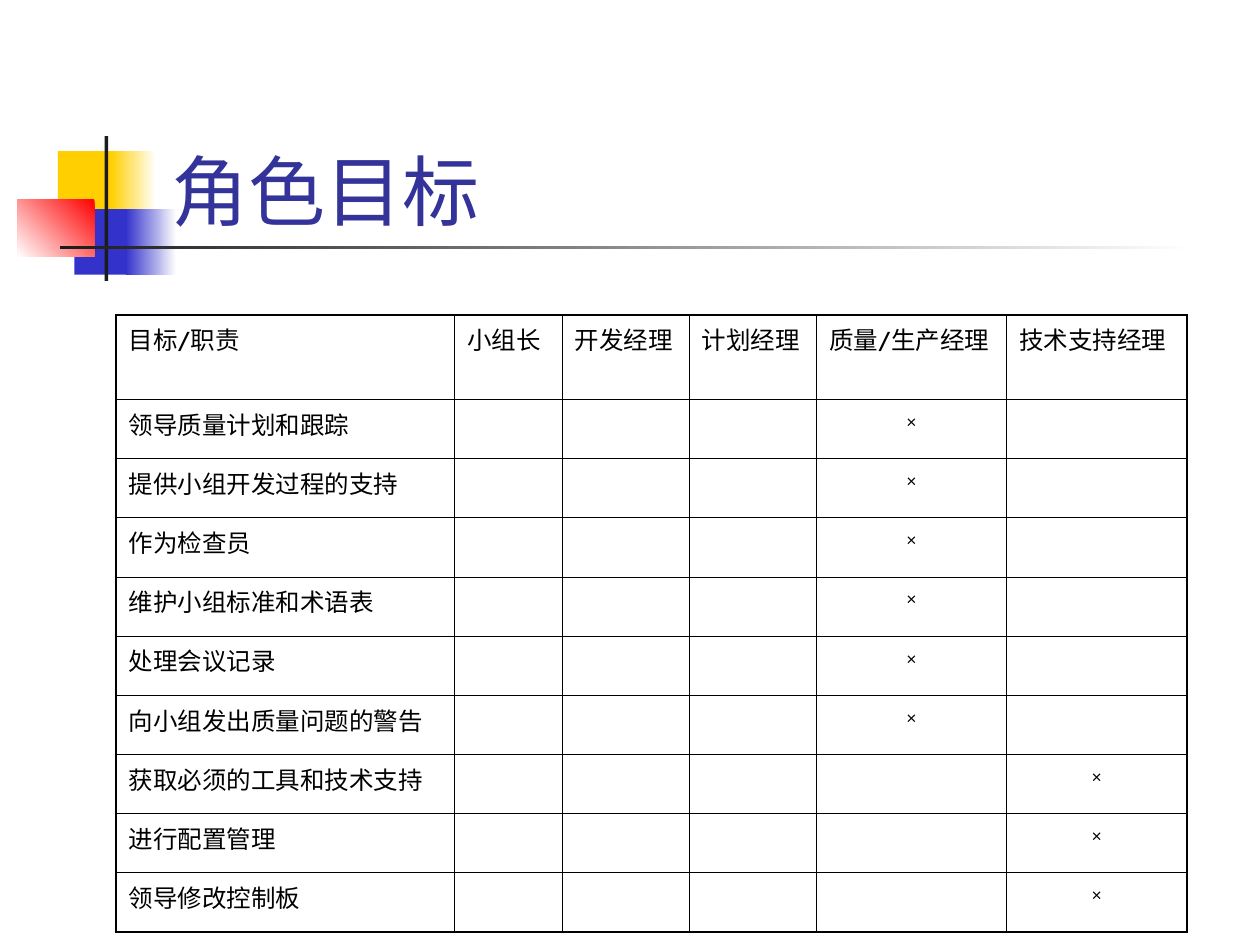
from lxml import etree
from pptx import Presentation
from pptx.dml.color import RGBColor
from pptx.enum.shapes import MSO_SHAPE
from pptx.enum.text import MSO_ANCHOR, PP_ALIGN
from pptx.oxml.ns import qn
from pptx.util import Inches, Pt

RECTANGLE = MSO_SHAPE.RECTANGLE
BOTTOM = MSO_ANCHOR.BOTTOM
CENTER = PP_ALIGN.CENTER
LEFT = PP_ALIGN.LEFT

WHITE = RGBColor(0xFF, 0xFF, 0xFF)
BLACK = RGBColor(0x00, 0x00, 0x00)
YELLOW = RGBColor(0xFF, 0xCF, 0x01)
BLUE = RGBColor(0x33, 0x33, 0xCC)
RED = RGBColor(0xFF, 0x00, 0x00)
CHARCOAL = RGBColor(0x1C, 0x1C, 0x1C)
INDIGO = RGBColor(0x33, 0x33, 0x99)

FONT = "Cabin"
THICK = 1.08
THIN = 0.45


def add_text(para, text, size, color):
    span = para.add_run()
    span.text = text
    span.font.name = FONT
    span.font.size = Pt(size)
    span.font.color.rgb = color


def add_border(cell, index, side, width):
    line = etree.Element(qn(f"a:{side}"), w=str(Pt(width)))
    fill = etree.SubElement(line, qn("a:solidFill"))
    etree.SubElement(fill, qn("a:srgbClr"), val=str(BLACK))
    cell._tc.get_or_add_tcPr().insert(index, line)


deck = Presentation()
deck.slide_width = Inches(10)
deck.slide_height = Inches(7.5)
page = deck.slides.add_slide(deck.slide_layouts[6])

ornaments = [
    (0.46, 1.2, 0.48, 0.52, [YELLOW], 0),
    (0.88, 1.2, 0.36, 0.52, [WHITE, YELLOW], 180),
    (0.59, 1.66, 0.46, 0.52, [BLUE], 0),
    (1, 1.66, 0.4, 0.52, [WHITE, BLUE], 180),
    (0.14, 1.58, 0.61, 0.46, [RED, WHITE], 225),
    (0.83, 1.08, 0.03, 1.15, [CHARCOAL], 0),
    (0.48, 1.95, 9, 0.03, [WHITE, CHARCOAL], 180),
]
for left, top, width, height, colors, angle in ornaments:
    block = page.shapes.add_shape(
        RECTANGLE, Inches(left), Inches(top), Inches(width), Inches(height)
    )
    block.shadow.inherit = False
    block.line.fill.background()
    if len(colors) == 1:
        block.fill.solid()
        block.fill.fore_color.rgb = colors[0]
    else:
        block.fill.gradient()
        block.fill.gradient_angle = angle
        for position, (stop, color) in enumerate(zip(block.fill.gradient_stops, colors)):
            stop.position = position
            stop.color.rgb = color

title = page.shapes.add_textbox(Inches(1.26), Inches(0.67), Inches(8.52), Inches(1.25))
title.text_frame.word_wrap = True
title.text_frame.vertical_anchor = BOTTOM
add_text(title.text_frame.paragraphs[0], "角色目标", 44, INDIGO)

headers = ["目标/职责", "小组长", "开发经理", "计划经理", "质量/生产经理", "技术支持经理"]
QUALITY = 4
SUPPORT = 5
duties = [
    ("领导质量计划和跟踪", QUALITY),
    ("提供小组开发过程的支持", QUALITY),
    ("作为检查员", QUALITY),
    ("维护小组标准和术语表", QUALITY),
    ("处理会议记录", QUALITY),
    ("向小组发出质量问题的警告", QUALITY),
    ("获取必须的工具和技术支持", SUPPORT),
    ("进行配置管理", SUPPORT),
    ("领导修改控制板", SUPPORT),
]
rows = [headers]
for duty, owner in duties:
    rows.append([duty] + ["×" if column == owner else "" for column in range(1, len(headers))])

column_widths = [2.69, 0.85, 1.01, 1.01, 1.51, 1.43]
row_heights = [0.67] + [0.47] * len(duties)
table = page.shapes.add_table(
    len(rows), len(headers), Inches(0.92), Inches(2.5),
    Inches(sum(column_widths)), Inches(sum(row_heights)),
).table
table.first_row = False
table.horz_banding = False
for column, width in zip(table.columns, column_widths):
    column.width = Inches(width)
for row, height in zip(table.rows, row_heights):
    row.height = Inches(height)

last_row = len(rows) - 1
last_column = len(headers) - 1
for row_index, texts in enumerate(rows):
    for column_index, text in enumerate(texts):
        cell = table.cell(row_index, column_index)
        cell.fill.background()
        edges = [
            ("lnL", column_index == 0),
            ("lnR", column_index == last_column),
            ("lnT", row_index == 0),
            ("lnB", row_index == last_row),
        ]
        for index, (side, outer) in enumerate(edges):
            add_border(cell, index, side, THICK if outer else THIN)
        if text:
            para = cell.text_frame.paragraphs[0]
            para.alignment = CENTER if text == "×" else LEFT
            para.space_before = Pt(3.5)
            add_text(para, text, 14, BLACK)

deck.save("out.pptx")
